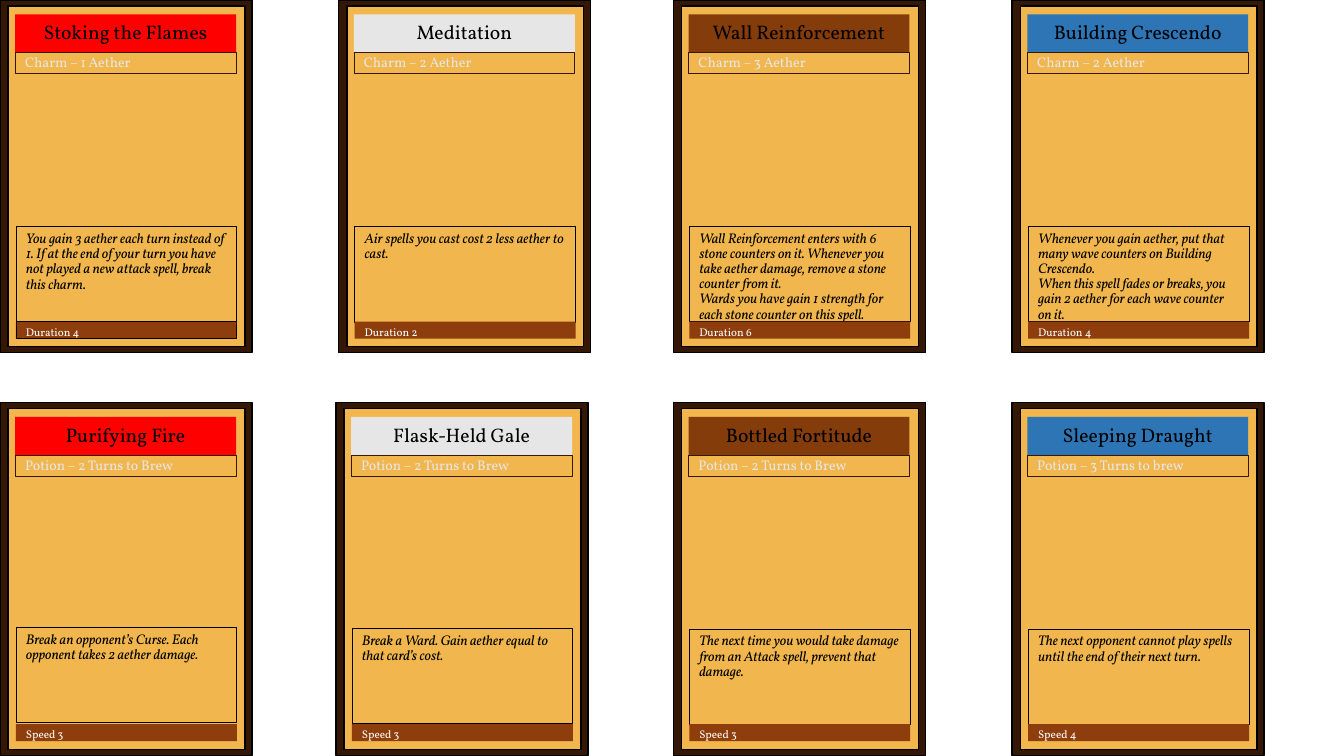
from pptx import Presentation
from pptx.dml.color import RGBColor
from pptx.enum.shapes import MSO_SHAPE as Preset
from pptx.enum.text import MSO_ANCHOR as Anchor, PP_ALIGN as Align
from pptx.util import Pt

FONT = "Vollkorn"
FRAME, PANEL, FOOTER = "351705", "F1B64D", "8E3E0C"
BLACK, WHITE, PALE = "000000", "FFFFFF", "E7E6E6"
FIRE, AIR, EARTH, WATER = "FF0000", PALE, "843C0B", "2E75B6"
ROW_TOPS = (0, 287.6)
INSET_LEFT = 10.8

CARDS = [
    (0, 0, FIRE, "Stoking the Flames", "Charm – 1 Aether", 161.8,
     ["You gain 3 aether each turn instead of 1. If at the end of your turn "
      "you have not played a new attack spell, break this charm."],
     "Duration 4", BLACK),
    (242, 0, AIR, "Meditation", "Charm – 2 Aether", 161.8,
     ["Air spells you cast cost 2 less aether to cast."],
     "Duration 2", None),
    (481, 0, EARTH, "Wall Reinforcement", "Charm – 3 Aether", 161.6,
     ["Wall Reinforcement enters with 6 stone counters on it. Whenever you "
      "take aether damage, remove a stone counter from it.",
      "Wards you have gain 1 strength for each stone counter on this spell."],
     "Duration 6", None),
    (723, 0, WATER, "Building Crescendo", "Charm – 2 Aether", 161.6,
     ["Whenever you gain aether, put that many wave counters on Building "
      "Crescendo.",
      "When this spell fades or breaks, you gain 2 aether for each wave "
      "counter on it."],
     "Duration 4", None),
    (0, 1, FIRE, "Purifying Fire", "Potion – 2 Turns to Brew", 160.4,
     ["Break an opponent’s Curse. Each opponent takes 2 aether damage."],
     "Speed 3", None),
    (240, 1, AIR, "Flask-Held Gale", "Potion – 2 Turns to Brew", 161,
     ["Break a Ward. Gain aether equal to that card’s cost."],
     "Speed 3", None),
    (481, 1, EARTH, "Bottled Fortitude", "Potion – 2 Turns to Brew", 161.6,
     ["The next time you would take damage from an Attack spell, prevent "
      "that damage."],
     "Speed 3", None),
    (723, 1, WATER, "Sleeping Draught", "Potion – 3 Turns to brew", 161.6,
     ["The next opponent cannot play spells until the end of their next "
      "turn."],
     "Speed 4", None),
]


def color(hex_value):
    return RGBColor.from_string(hex_value)


def set_all(target, values):
    for name, value in values.items():
        setattr(target, name, value)


def add_box(page, left, top, width, height, fill, line, weight=0.5):
    box = page.shapes.add_shape(
        Preset.RECTANGLE, Pt(left), Pt(top), Pt(width), Pt(height))
    box.shadow.inherit = False
    if fill:
        box.fill.solid()
        box.fill.fore_color.rgb = color(fill)
    else:
        box.fill.background()
    if line:
        box.line.color.rgb = color(line)
        box.line.width = Pt(weight)
    else:
        box.line.fill.background()
    return box


def write(box, lines, size, ink, anchor=Anchor.TOP, align=Align.LEFT, italic=False):
    frame = box.text_frame
    set_all(frame, {
        "word_wrap": True, "vertical_anchor": anchor,
        "margin_left": Pt(7.2), "margin_right": Pt(7.2),
        "margin_top": Pt(3.6), "margin_bottom": Pt(3.6)})
    for index, line in enumerate(lines):
        para = frame.paragraphs[0] if index == 0 else frame.add_paragraph()
        set_all(para, {"alignment": align, "line_spacing": 0.9})
        span = para.add_run()
        span.text = line
        set_all(span.font, {"name": FONT, "size": Pt(size), "italic": italic})
        span.font.color.rgb = color(ink)


def add_card(page, left, row, element, title, kind, rules_top, rules, footer, footer_line):
    top = ROW_TOPS[row]
    inner = left + INSET_LEFT
    add_box(page, left, top, 180, 252, FRAME, BLACK, 1)
    add_box(page, left + 5.8, top + 4.3, 169.2, 243.4, PANEL, BLACK, 1)
    title_box = add_box(page, inner, top + 10.2, 157.8, 27.3, element, None)
    write(title_box, [title], 14, BLACK, Anchor.MIDDLE, Align.CENTER)
    kind_box = add_box(page, inner, top + 37.5, 157.8, 15, None, FRAME)
    write(kind_box, [kind], 10, PALE, Anchor.MIDDLE)
    rules_box = add_box(page, inner + 0.6, top + rules_top, 157.8, 68.3, PANEL, BLACK)
    write(rules_box, rules, 10, BLACK, italic=True)
    footer_box = add_box(page, inner + 0.6, top + 229.7, 157.8, 12.2, FOOTER, footer_line)
    write(footer_box, [footer], 8, WHITE)


def main():
    deck = Presentation()
    set_all(deck, {"slide_width": Pt(960), "slide_height": Pt(540)})
    page = deck.slides.add_slide(deck.slide_layouts[6])
    for card in CARDS:
        add_card(page, *card)
    deck.save("out.pptx")


if __name__ == "__main__":
    main()
